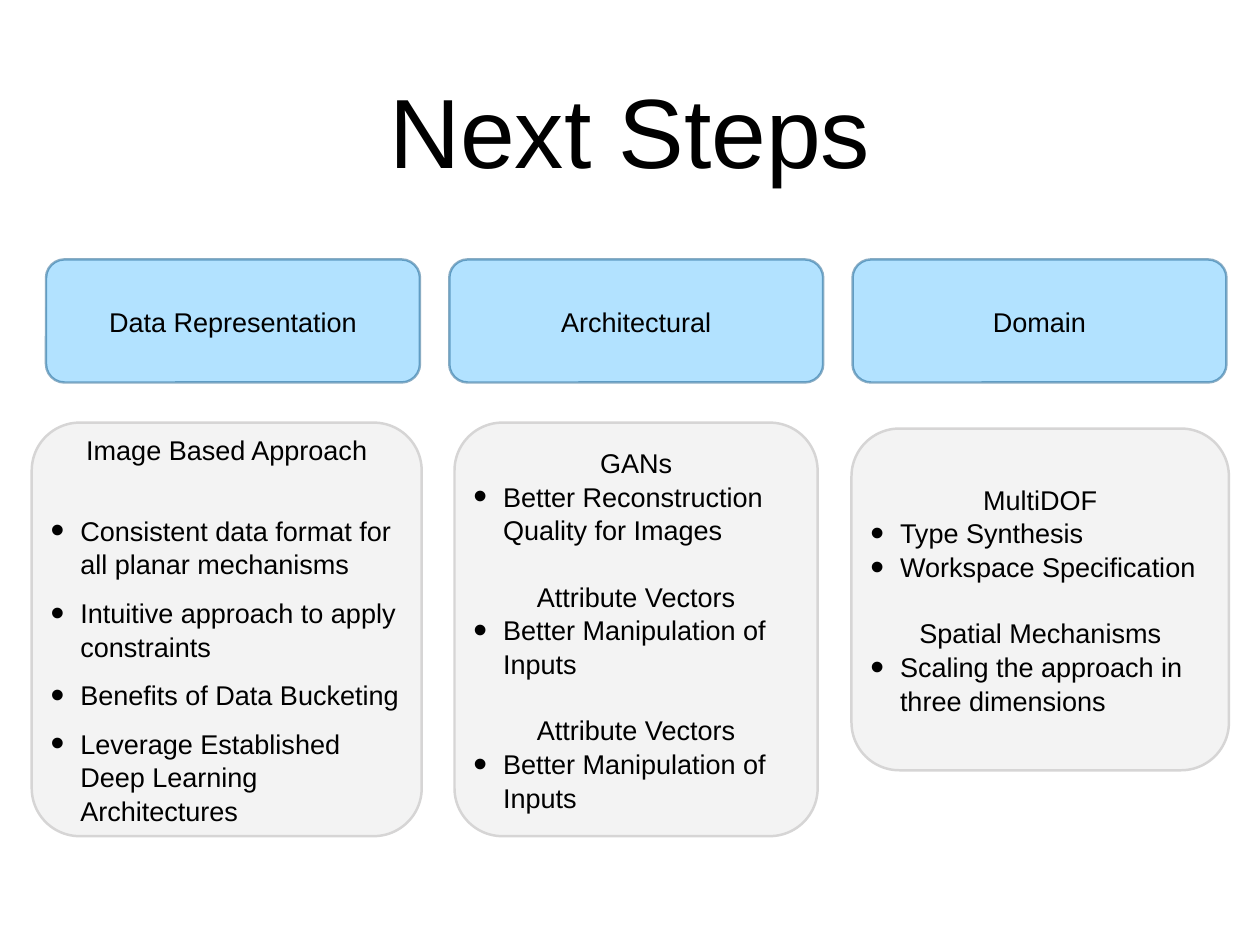
from lxml import etree
from pptx import Presentation
from pptx import util as u
from pptx.dml.color import RGBColor
from pptx.enum import shapes, text
from pptx.oxml import ns

BLACK = RGBColor(0x00, 0x00, 0x00)
BLUE = RGBColor(0x00, 0xA2, 0xFF)
NAVY = RGBColor(0x00, 0x4D, 0x80)
GREY = RGBColor(0xD6, 0xD5, 0xD5)

HEADS = ["Data Representation", "Architectural", "Domain"]
VECTOR = ("Attribute Vectors", ["Better Manipulation of Inputs"])
PANELS = [
    ((0.91, 12.12, 11.18, 11.86), 0.123, 12, [
        ("Image Based Approach", [
            "Consistent data format for all planar mechanisms",
            "Intuitive approach to apply constraints",
            "Benefits of Data Bucketing",
            "Leverage Established Deep Learning Architectures"])]),
    ((13.03, 12.12, 10.41, 11.86), 0.132, 0, [
        ("GANs", ["Better Reconstruction Quality for Images"]),
        VECTOR,
        VECTOR]),
    ((24.41, 12.29, 10.82, 9.8), 0.14, 0, [
        ("MultiDOF", ["Type Synthesis", "Workspace Specification"]),
        ("Spatial Mechanisms", ["Scaling the approach in three dimensions"])]),
]
LINE = 26.4


def bullet(para):
    """Give a paragraph a large hanging bullet."""
    props = para._p.get_or_add_pPr()
    props.set("marL", str(u.Cm(0.85)))
    props.set("indent", str(-u.Cm(0.85)))
    for tag, key, val in (("a:buSzPct", "val", "145000"),
                          ("a:buFont", "typeface", "Arial"),
                          ("a:buChar", "char", "•")):
        etree.SubElement(props, ns.qn(tag)).set(key, val)


def write(frame, words, size=22, gap=0, dot=False, space=1.04):
    """Add one paragraph to a text frame."""
    first = frame.paragraphs[0]
    para = frame.add_paragraph() if first.runs else first
    if dot:
        bullet(para)
    para.alignment = text.PP_ALIGN.LEFT if dot else text.PP_ALIGN.CENTER
    para.line_spacing = space
    if gap:
        para.space_before = u.Pt(gap)
    run = para.add_run()
    run.text = words
    run.font.size = u.Pt(size)
    run.font.name = "Arial"
    run.font.color.rgb = BLACK


def setup(shape):
    """Set wrapping, anchor and margins, and return the text frame."""
    frame = shape.text_frame
    frame.word_wrap = True
    frame.vertical_anchor = text.MSO_ANCHOR.MIDDLE
    frame.margin_left = frame.margin_right = u.Cm(0.14)
    frame.margin_top = frame.margin_bottom = u.Cm(0.14)
    return frame


def fade(color, share):
    """Set the opacity of a solid colour in percent."""
    node = color.find(ns.qn("a:solidFill")).find(ns.qn("a:srgbClr"))
    etree.SubElement(node, ns.qn("a:alpha")).set("val", str(share * 1000))


def card(slide, place, round_, fill, edge, clear, faint=100):
    """Draw a rounded card and return its text frame."""
    shape = slide.shapes.add_shape(
        shapes.MSO_SHAPE.ROUNDED_RECTANGLE, *map(u.Cm, place))
    shape.shadow.inherit = False
    shape.adjustments[0] = round_
    shape.fill.solid()
    shape.fill.fore_color.rgb = fill
    shape.line.color.rgb = edge
    shape.line.width = u.Pt(2)
    props = shape._element.spPr
    fade(props, clear)
    if faint < 100:
        fade(props.find(ns.qn("a:ln")), faint)
    return setup(shape)


def panel(slide, place, round_, gap, groups):
    """Draw a grey card with headed bullet lists."""
    frame = card(slide, place, round_, GREY, GREY, 28)
    for i, (head, items) in enumerate(groups):
        write(frame, head, gap=LINE if i else 0)
        for j, item in enumerate(items):
            extra = LINE if gap and j == 0 else 0
            write(frame, item, gap=gap + extra, dot=True)


def main():
    """Build the slide and save it."""
    deck = Presentation()
    deck.slide_width, deck.slide_height = u.Cm(36.12), u.Cm(27.1)
    slide = deck.slides.add_slide(deck.slide_layouts[6])
    title = slide.shapes.add_textbox(*map(u.Cm, (2.64, 0.71, 30.84, 5.99)))
    write(setup(title), "Next Steps", size=80, space=1.0)
    for i, head in enumerate(HEADS):
        place = (1.32 + 11.56 * i, 7.44, 10.72, 3.53)
        write(card(slide, place, 0.15, BLUE, NAVY, 30, 45), head)
    for spot in PANELS:
        panel(slide, *spot)
    deck.save("out.pptx")


if __name__ == "__main__":
    main()
